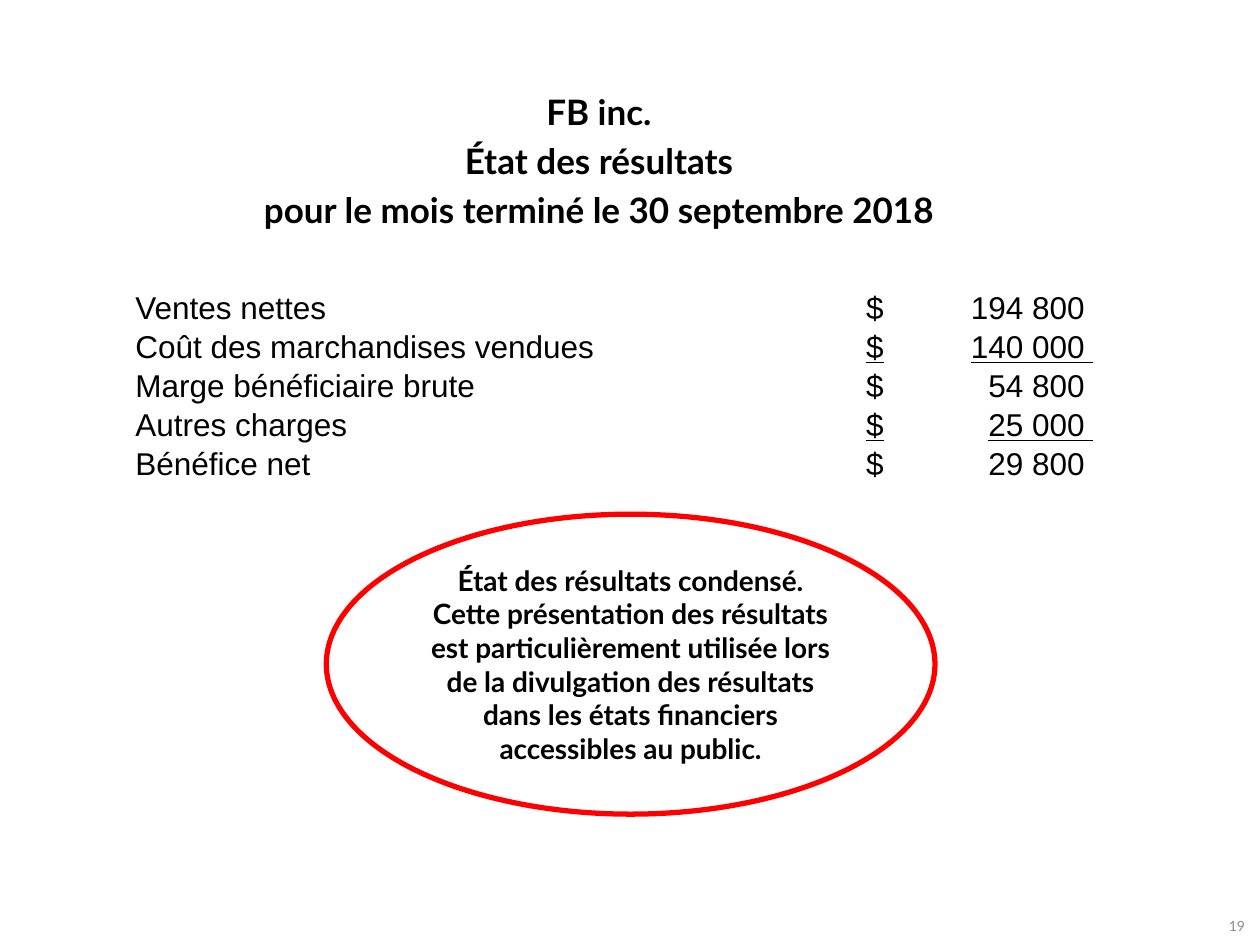
from dataclasses import dataclass

from lxml.etree import SubElement
from pptx import Presentation
from pptx.dml.color import RGBColor
from pptx.enum.shapes import MSO_SHAPE
from pptx.enum.text import MSO_ANCHOR, PP_ALIGN
from pptx.oxml.ns import qn
from pptx.util import Pt


@dataclass(frozen=True)
class Theme:
    text: RGBColor = RGBColor(0, 0, 0)
    muted: RGBColor = RGBColor(0x8C, 0x8C, 0x8C)
    paper: RGBColor = RGBColor(255, 255, 255)
    accent: RGBColor = RGBColor(255, 0, 0)
    heading_font: str = "Lato"
    table_font: str = "Arial"
    title_size: int = 20
    table_size: int = 18
    note_size: int = 16
    number_size: int = 8


THEME = Theme()

TITLE_LINES = ["FB inc.", "État des résultats", "pour le mois terminé le 30 septembre 2018"]
# Label, amount, underlined
STATEMENT_ROWS = [
    ("Ventes nettes", "194 800", False),
    ("Coût des marchandises vendues", "140 000", True),
    ("Marge bénéficiaire brute", "54 800", False),
    ("Autres charges", "25 000", True),
    ("Bénéfice net", "29 800", False),
]
NOTE = (
    "État des résultats condensé. Cette présentation des résultats est "
    "particulièrement utilisée lors de la divulgation des résultats dans les "
    "états financiers accessibles au public."
)


def write_text(paragraph, text, size, font=THEME.heading_font, color=THEME.text,
               bold=False, underline=False, align=PP_ALIGN.LEFT):
    paragraph.alignment = align
    run = paragraph.add_run()
    run.text = text
    run.font.name = font
    run.font.size = Pt(size)
    run.font.bold = bold
    run.font.underline = underline
    run.font.color.rgb = color


def add_right_tab(paragraph, position):
    tab_list = SubElement(paragraph._p.get_or_add_pPr(), qn("a:tabLst"))
    SubElement(tab_list, qn("a:tab"), pos=str(Pt(position)), algn="r")


def add_text_frame(slide, left, top, width, height):
    text_frame = slide.shapes.add_textbox(Pt(left), Pt(top), Pt(width), Pt(height)).text_frame
    text_frame.word_wrap = True
    return text_frame


def add_title(slide, left, top, width, height):
    text_frame = add_text_frame(slide, left, top, width, height)
    for index, line in enumerate(TITLE_LINES):
        paragraph = text_frame.add_paragraph() if index else text_frame.paragraphs[0]
        paragraph.space_after = Pt(THEME.title_size * 0.2)
        write_text(paragraph, line, THEME.title_size, bold=True, align=PP_ALIGN.CENTER)


def fill_cell(cell, text, left_margin, underline=False):
    cell.fill.solid()
    cell.fill.fore_color.rgb = THEME.paper
    cell.vertical_anchor = MSO_ANCHOR.MIDDLE
    cell.margin_left = Pt(left_margin)
    cell.margin_right = Pt(0.7)
    cell.margin_top = Pt(0.7)
    cell.margin_bottom = Pt(0)
    paragraph = cell.text_frame.paragraphs[0]
    write_text(paragraph, text, THEME.table_size, font=THEME.table_font, underline=underline)
    return paragraph


def add_statement(slide, left, top, width, height):
    label_width = 412.5
    frame = slide.shapes.add_table(len(STATEMENT_ROWS), 2, Pt(left), Pt(top), Pt(width), Pt(height))
    table = frame.table
    table.first_row = False
    table.horz_banding = False
    table.columns[0].width = Pt(label_width)
    table.columns[1].width = Pt(width - label_width)
    for index, (label, amount, underlined) in enumerate(STATEMENT_ROWS):
        fill_cell(table.cell(index, 0), label, 27)
        paragraph = fill_cell(table.cell(index, 1), f"$\t{amount} ", 32, underlined)
        add_right_tab(paragraph, 130)


def add_note(slide, left, top, width, height):
    ellipse = slide.shapes.add_shape(MSO_SHAPE.OVAL, Pt(left), Pt(top), Pt(width), Pt(height))
    ellipse.shadow.inherit = False
    ellipse.fill.solid()
    ellipse.fill.fore_color.rgb = THEME.paper
    ellipse.line.color.rgb = THEME.accent
    ellipse.line.width = Pt(3)
    text_frame = ellipse.text_frame
    text_frame.word_wrap = True
    text_frame.vertical_anchor = MSO_ANCHOR.MIDDLE
    write_text(text_frame.paragraphs[0], NOTE, THEME.note_size, bold=True, align=PP_ALIGN.CENTER)


def add_slide_number(slide, left, top, width, height):
    text_frame = add_text_frame(slide, left, top, width, height)
    text_frame.vertical_anchor = MSO_ANCHOR.MIDDLE
    write_text(text_frame.paragraphs[0], "19", THEME.number_size, color=THEME.muted,
               align=PP_ALIGN.RIGHT)


def main():
    presentation = Presentation()
    presentation.slide_width = Pt(720)
    presentation.slide_height = Pt(540)
    slide = presentation.slides.add_slide(presentation.slide_layouts[6])

    # Heading, income statement, remark and footer
    add_title(slide, 28, 48.2, 628.6, 96)
    add_statement(slide, 50.4, 165, 640, 104.5)
    add_note(slide, 186.5, 293.8, 347.8, 171.4)
    add_slide_number(slide, 517, 518.4, 201.6, 21.6)

    presentation.save("out.pptx")


if __name__ == "__main__":
    main()
